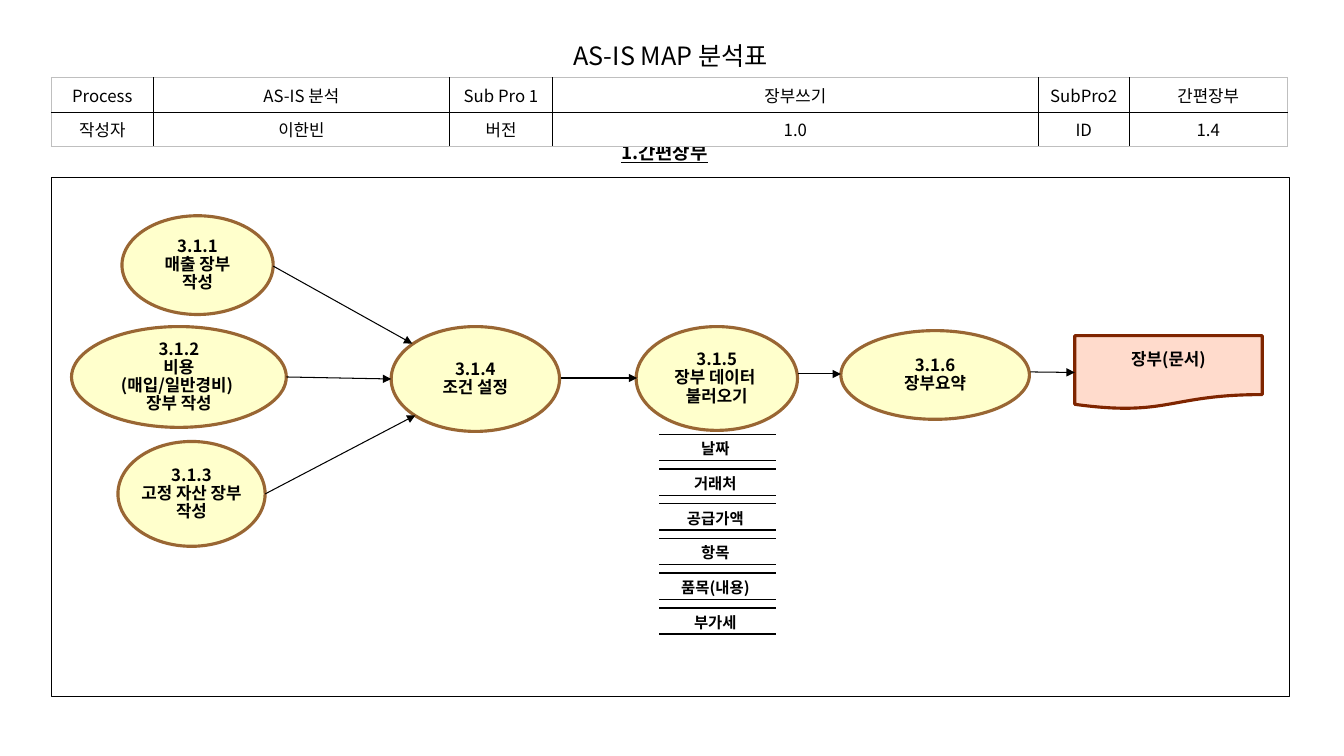
from lxml import etree
from pptx import Presentation
from pptx.dml.color import RGBColor
from pptx.enum.shapes import MSO_CONNECTOR, MSO_SHAPE
from pptx.enum.text import MSO_ANCHOR, MSO_AUTO_SIZE, PP_ALIGN
from pptx.oxml.ns import qn
from pptx.util import Inches, Pt

STRAIGHT = MSO_CONNECTOR.STRAIGHT
RECTANGLE, OVAL = MSO_SHAPE.RECTANGLE, MSO_SHAPE.OVAL
DOCUMENT = MSO_SHAPE.FLOWCHART_DOCUMENT
TOP, MIDDLE = MSO_ANCHOR.TOP, MSO_ANCHOR.MIDDLE
NO_AUTOFIT = MSO_AUTO_SIZE.NONE
CENTER = PP_ALIGN.CENTER

FONT = "Noto Sans CJK KR"
BLACK, WHITE, GREY = "000000", "FFFFFF", "BFBFBF"
CREAM, BROWN, PEACH, RUST = "FFFFCC", "996633", "FFDBCC", "7F2500"
GRID = 0.1
LEFT_EDGE, FULL_WIDTH = 5.1, 122.8

HEADER_COLUMNS = [10.1, 29.4, 10.2, 48.2, 9, 15.7]
HEADER_ROWS = [
    ["Process", "AS-IS 분석", "Sub Pro 1", "장부쓰기", "SubPro2", "간편장부"],
    ["작성자", "이한빈", "버전", "1.0", "ID", "1.4"],
]
STEPS = [
    (12.1, 21.4, 15, 9.8, ["3.1.1", "매출 장부", "작성"]),
    (7.1, 32.4, 21.3, 10, ["3.1.2", "비용", "(매입/일반경비) ", "장부 작성"]),
    (11.7, 43.8, 14.6, 10.4, ["3.1.3", "고정 자산 장부 작성"]),
    (38.8, 32.4, 16.7, 10.4, ["3.1.4", "조건 설정"]),
    (63.1, 32.4, 16, 10.3, ["3.1.5", "장부 데이터 ", "불러오기"]),
    (83.4, 32.8, 18.7, 8.8, ["3.1.6", "장부요약"]),
]
FLOWS = [
    ((27.1, 26.4), (40.9, 34.1)),
    ((28.4, 37.4), (38.8, 37.6)),
    ((26.3, 49), (41.2, 41.2)),
    ((55.6, 37.5), (63.2, 37.5)),
    ((79.1, 37.1), (83.4, 37.1)),
]
LEDGER_FIELDS = ["날짜", "거래처", "공급가액", "항목", "품목(내용)", "부가세"]


def cells(*counts):
    return [Inches(count * GRID) for count in counts]


def color(value):
    return RGBColor.from_string(value)


def apply(target, formats):
    for name, value in formats.items():
        setattr(target, name, value)


def write(frame, lines, size, spacing=1.0, **font_formats):
    for index, line in enumerate(lines):
        paragraph = frame.paragraphs[0] if index == 0 else frame.add_paragraph()
        apply(paragraph, {"alignment": CENTER, "line_spacing": spacing})
        run = paragraph.add_run()
        run.text = line
        apply(run.font, {"name": FONT, "size": Pt(size), **font_formats})
        run.font.color.rgb = color(BLACK)
        east_asian = etree.SubElement(run.font._element, qn("a:ea"))
        east_asian.set("typeface", FONT)


def set_frame(frame, margins, anchor, wrap=True):
    left, top, right, bottom = cells(*margins)
    apply(frame, {
        "margin_left": left, "margin_top": top,
        "margin_right": right, "margin_bottom": bottom,
        "vertical_anchor": anchor, "word_wrap": wrap, "auto_size": NO_AUTOFIT,
    })


def add_heading(slide, text):
    heading = slide.shapes.title
    left, top, width, height = cells(15.9, 13.6, 100, 3)
    apply(heading, {"left": left, "top": top, "width": width, "height": height})
    set_frame(heading.text_frame, (1.2, 0.6, 1.2, 0.6), MIDDLE, wrap=False)
    write(heading.text_frame, [text], 13.5, bold=True, underline=True)


def add_border(cell, side, value, points):
    border = etree.SubElement(cell._tc.get_or_add_tcPr(), qn(f"a:ln{side}"))
    border.set("w", str(Pt(points)))
    fill = etree.SubElement(border, qn("a:solidFill"))
    etree.SubElement(fill, qn("a:srgbClr")).set("val", value)


def add_grid(slide, left, top, columns, heights, rows, size, anchor, inner, outer):
    frame = slide.shapes.add_table(
        len(rows), len(columns), *cells(left, top, sum(columns), sum(heights)))
    table = frame.table
    apply(table, {"first_row": False, "horz_banding": False})
    for column, width in zip(table.columns, cells(*columns)):
        column.width = width
    for row, height in zip(table.rows, cells(*heights)):
        row.height = height
    for r, texts in enumerate(rows):
        for c, text in enumerate(texts):
            cell = table.cell(r, c)
            cell.vertical_anchor = anchor
            write(cell.text_frame, [text], size)
            on_edge = {"L": c == 0, "R": c == len(columns) - 1,
                       "T": r == 0, "B": r == len(rows) - 1}
            for side, at_edge in on_edge.items():
                add_border(cell, side, outer if at_edge else inner, 1)
            cell.fill.solid()
            cell.fill.fore_color.rgb = color(WHITE)


def add_block(slide, preset, box, line, points, fill=None):
    block = slide.shapes.add_shape(preset, *cells(*box))
    block.shadow.inherit = False
    block.line.color.rgb = color(line)
    block.line.width = Pt(points)
    if fill:
        block.fill.solid()
        block.fill.fore_color.rgb = color(fill)
    else:
        block.fill.background()
    return block


def add_step(slide, left, top, width, height, lines):
    step = add_block(slide, OVAL, (left, top, width, height), BROWN, 2.25, CREAM)
    set_frame(step.text_frame, (0, 0, 0, 0), MIDDLE)
    write(step.text_frame, lines, 12, 0.9, bold=True)


def add_line(slide, start, end, points, arrow=False):
    line = slide.shapes.add_connector(STRAIGHT, *cells(*start, *end))
    line.line.color.rgb = color(BLACK)
    line.line.width = Pt(points)
    if arrow:
        tail = etree.SubElement(line.line._get_or_add_ln(), qn("a:tailEnd"))
        tail.set("type", "triangle")
    etree.SubElement(line._element.spPr, qn("a:effectLst"))
    return line


def add_ledger_field(slide, text, left, top):
    for y in (top, top + 2.6):
        add_line(slide, (left, y), (left + 11.6, y), 1)
    label = slide.shapes.add_textbox(*cells(left, top, 11.1, 2.8))
    set_frame(label.text_frame, (1.3, 0.7, 1.3, 0.7), TOP)
    write(label.text_frame, [text], 11, 0.9, bold=True)


def main():
    deck = Presentation()
    deck.slide_width, deck.slide_height = cells(133.3, 75)
    slide = deck.slides.add_slide(deck.slide_layouts[5])

    add_heading(slide, "1.간편장부")
    add_grid(slide, 30.4, 3.1, [72.2], [4], [["AS-IS MAP 분석표"]],
             18, TOP, WHITE, WHITE)
    add_grid(slide, LEFT_EDGE, 7.7, HEADER_COLUMNS, [3.4, 3.4], HEADER_ROWS,
             12, MIDDLE, BLACK, GREY)
    add_block(slide, RECTANGLE, (LEFT_EDGE, 17.6, FULL_WIDTH, 51.5), BLACK, 0.75)

    for step in STEPS:
        add_step(slide, *step)
    for start, end in FLOWS:
        add_line(slide, start, end, 0.75, arrow=True)

    ledger = add_block(slide, DOCUMENT, (106.6, 33.3, 18.6, 7.3), RUST, 2.25, PEACH)
    set_frame(ledger.text_frame, (1, 0, 1, 1.2), MIDDLE)
    write(ledger.text_frame, ["장부(문서)"], 12, bold=True)
    to_ledger = add_line(slide, (102.2, 36.9), (106.6, 36.9), 0.75, arrow=True)
    to_ledger.end_connect(ledger, 1)

    for index, field in enumerate(LEDGER_FIELDS):
        add_ledger_field(slide, field, 65.4, 43.1 + 3.44 * index)

    deck.save("out.pptx")


if __name__ == "__main__":
    main()
